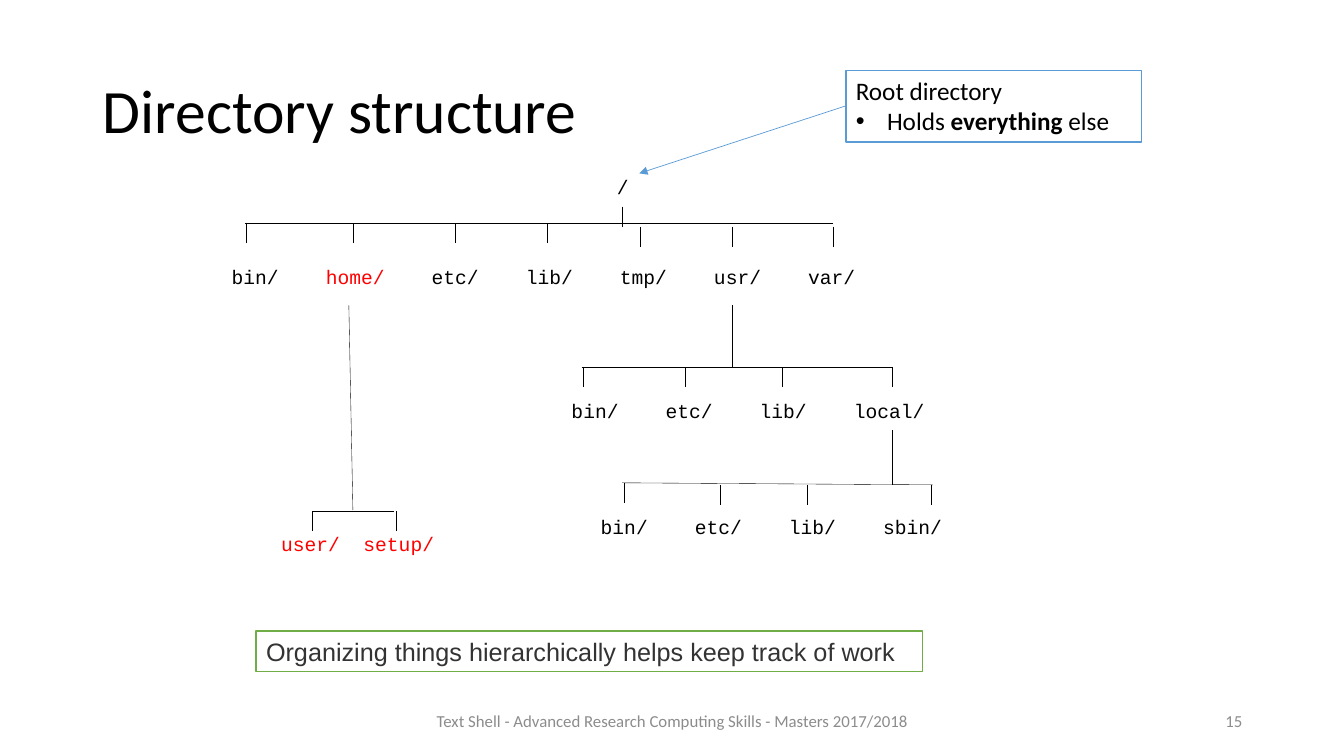
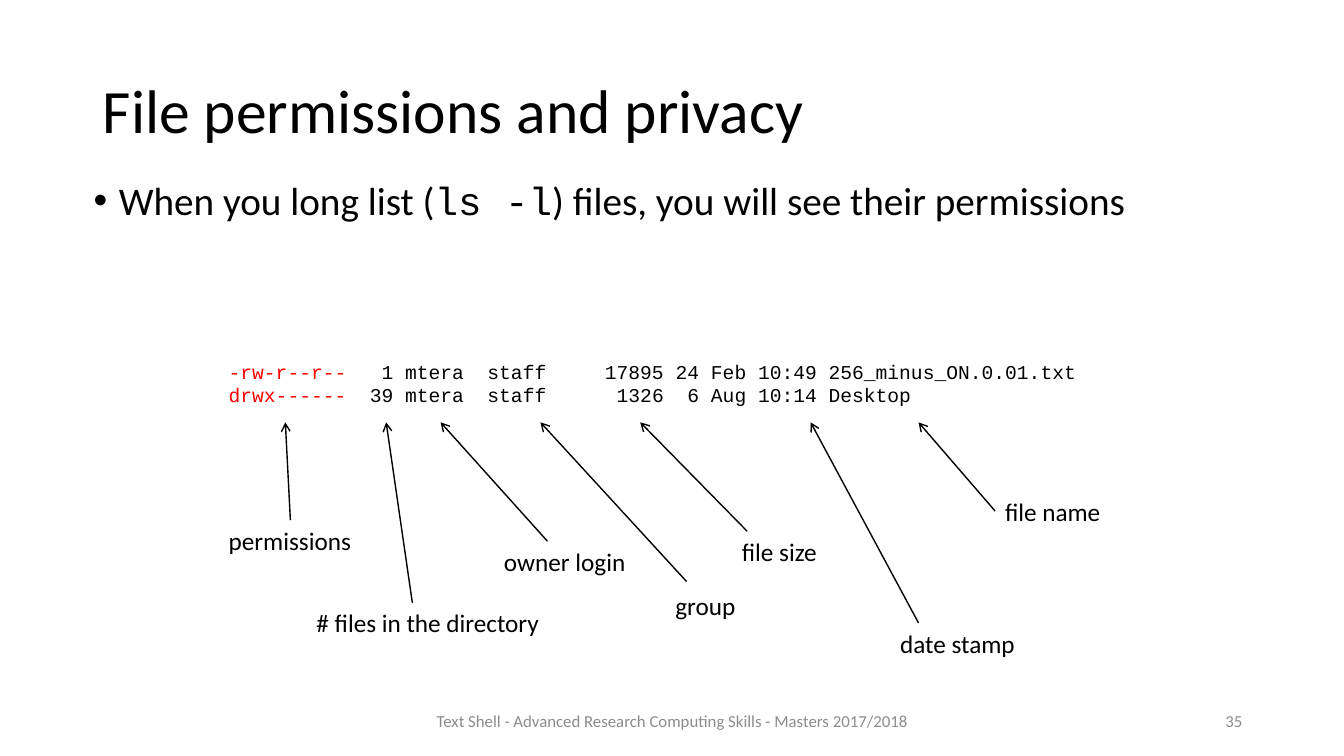
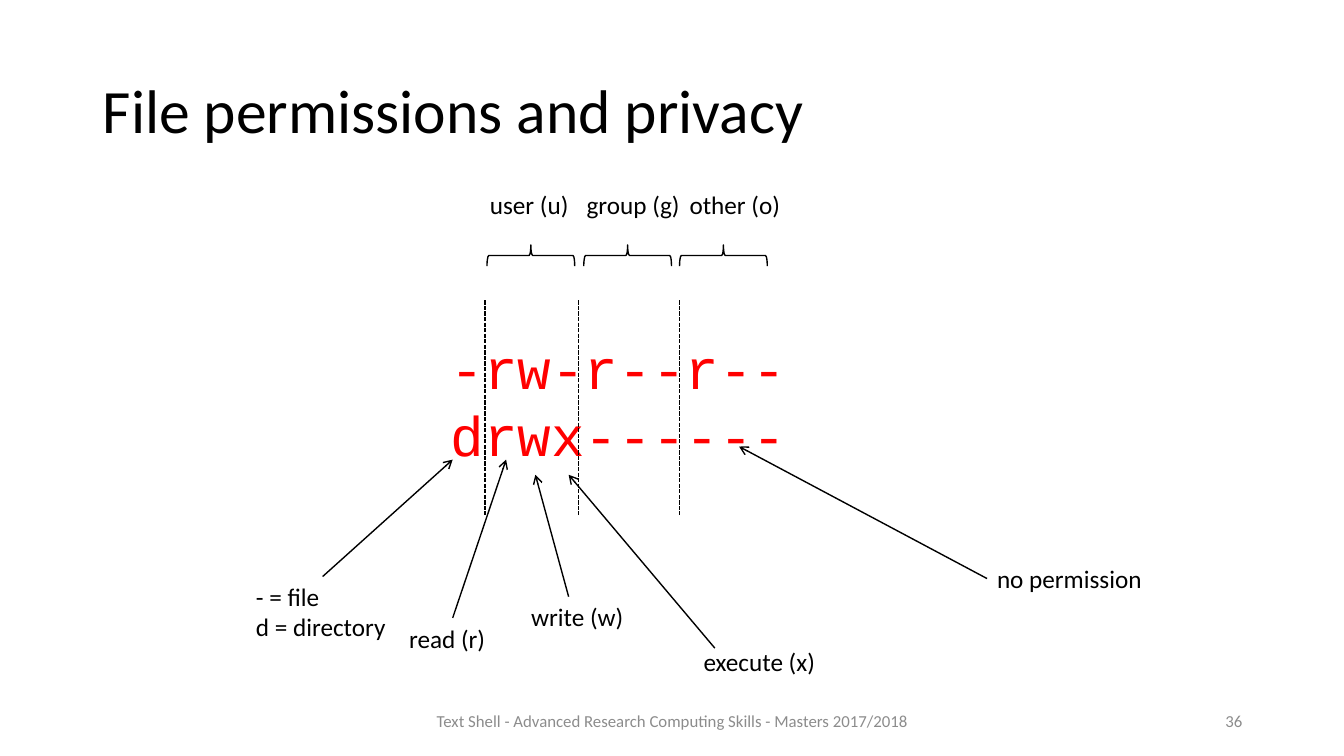
from lxml.etree import SubElement
from pptx import Presentation
from pptx.dml.color import RGBColor
from pptx.enum.dml import MSO_LINE
from pptx.enum.shapes import MSO_CONNECTOR, MSO_SHAPE
from pptx.enum.text import MSO_ANCHOR, PP_ALIGN
from pptx.oxml.ns import qn
from pptx.util import Inches, Pt

BLACK, RED, WHITE = "000000", "FF0000", "FFFFFF"
GREY, DARK, BLUE, GREEN = "8C8C8C", "333333", "5B9BD5", "70AD47"
SANS, MONO = "Calibri", "Courier New"
MONO_SIZE = 14
CHAR = MONO_SIZE * 0.6 / 72
FOOTER = "Text Shell - Advanced Research Computing Skills - Masters 2017/2018"


def rgb(value):
    return RGBColor.from_string(value)


def add_run(p, text, size=18, font=SANS, color=BLACK, bold=False):
    r = p.add_run()
    r.text = text
    r.font.size = Pt(size)
    r.font.name = font
    r.font.color.rgb = rgb(color)
    r.font.bold = bold


def add_paragraph(tf, first=False):
    p = tf.paragraphs[0] if first else tf.add_paragraph()
    p.alignment = PP_ALIGN.LEFT
    return p


def add_bullet(p, indent):
    pPr = p._p.get_or_add_pPr()
    pPr.set("marL", str(Inches(indent)))
    pPr.set("indent", str(-Inches(indent)))
    SubElement(pPr, qn("a:buFont"), typeface="Arial")
    SubElement(pPr, qn("a:buChar"), char="\u2022")


def add_tabs(p, stops):
    tabs = SubElement(p._p.get_or_add_pPr(), qn("a:tabLst"))
    for column, align in stops:
        SubElement(tabs, qn("a:tab"), pos=str(Inches(column * CHAR)), algn=align)


def add_box(s, left, top, width, height, wrap=True):
    sp = s.shapes.add_textbox(Inches(left), Inches(top), Inches(width), Inches(height))
    sp.text_frame.word_wrap = wrap
    return sp.text_frame


def add_label(s, left, top, width, *lines, height=0.4, **style):
    tf = add_box(s, left, top, width, height, wrap=False)
    for i, line in enumerate(lines):
        add_run(add_paragraph(tf, i == 0), line, **style)


def add_footer(s, left, width, text, align):
    tf = add_box(s, left, 6.95, width, 0.4)
    tf.vertical_anchor = MSO_ANCHOR.MIDDLE
    p = tf.paragraphs[0]
    p.alignment = align
    add_run(p, text, size=12, color=GREY)


def add_slide(prs, title, number):
    s = prs.slides.add_slide(prs.slide_layouts[5])
    sp = s.shapes.title
    sp.left, sp.top, sp.width, sp.height = map(Inches, (0.92, 0.4, 11.5, 1.45))
    tf = sp.text_frame
    tf.vertical_anchor = MSO_ANCHOR.MIDDLE
    p = add_paragraph(tf, True)
    p.line_spacing = 0.9
    add_run(p, title, size=44)
    add_footer(s, 3.92, 5.5, FOOTER, PP_ALIGN.CENTER)
    add_footer(s, 9.42, 3, str(number), PP_ALIGN.RIGHT)
    return s


def add_line(s, start, end, color=BLACK, width=1, head=None, dash=None):
    c = s.shapes.add_connector(MSO_CONNECTOR.STRAIGHT, *map(Inches, start + end))
    c.line.color.rgb = rgb(color)
    c.line.width = Pt(width)
    if dash:
        c.line.dash_style = dash
    if head:
        SubElement(c.line._get_or_add_ln(), qn("a:tailEnd"), type=head)
    SubElement(c._element.spPr, qn("a:effectLst"))


def add_frame(s, left, top, width, height, line):
    sp = s.shapes.add_shape(MSO_SHAPE.RECTANGLE, *map(Inches, (left, top, width, height)))
    sp.shadow.inherit = False
    sp.fill.solid()
    sp.fill.fore_color.rgb = rgb(WHITE)
    sp.line.color.rgb = rgb(line)
    sp.line.width = Pt(1)
    tf = sp.text_frame
    tf.word_wrap = True
    tf.vertical_anchor = MSO_ANCHOR.TOP
    return tf


def add_brace(s, left):
    sp = s.shapes.add_shape(MSO_SHAPE.LEFT_BRACE, *map(Inches, (left, 2.1, 0.21, 0.87)))
    sp.rotation = 90
    sp.shadow.inherit = False
    sp.fill.background()
    sp.line.color.rgb = rgb(BLACK)
    sp.line.width = Pt(1)


def add_names(s, left, top, names, gap=4, red=()):
    stops, column = [], 0
    for name in names[:-1]:
        column += len(name) + gap
        stops.append((column, "l"))
    width = (column + len(names[-1])) * CHAR + 0.3
    p = add_paragraph(add_box(s, left, top, width, 0.34), True)
    add_tabs(p, stops)
    for i, name in enumerate(names):
        text = "\t" + name if i else name
        add_run(p, text, MONO_SIZE, MONO, RED if name in red else BLACK)


def add_drops(s, y, *xs, length=0.2):
    for x in xs:
        add_line(s, (x, y), (x, y + length), width=0.25)


def add_callouts(s, callouts):
    for left, top, width, text, start, end in callouts:
        add_label(s, left, top, width, *text.split("\n"))
        add_line(s, start, end, head="arrow")


def build_directories(prs):
    s = add_slide(prs, "Directory structure", 15)
    add_names(s, 6.02, 1.69, ["/"])
    add_names(s, 2.2, 2.58, ["bin/", "home/", "etc/", "lib/", "tmp/", "usr/", "var/"],
              red=["home/"])
    add_names(s, 5.57, 3.91, ["bin/", "etc/", "lib/", "local/"])
    add_names(s, 5.86, 5.06, ["bin/", "etc/", "lib/", "sbin/"])
    add_names(s, 2.69, 5.23, ["user/", "setup/"], gap=2, red=["user/", "setup/"])

    branches = [
        ((2.43, 2.21), (8.26, 2.21)),
        ((5.77, 3.64), (8.85, 3.64)),
        ((6.17, 4.79), (9.25, 4.81)),
        ((3.1, 5.07), (3.91, 5.07)),
        ((3.46, 3.03), (3.5, 5.06)),
    ]
    for start, end in branches:
        add_line(s, start, end, width=0.25)
    add_drops(s, 2.05, 6.17)
    add_drops(s, 2.21, 2.44, 3.5, 4.51, 5.43)
    add_drops(s, 2.25, 6.35, 7.26, 8.26)
    add_drops(s, 3.03, 7.26, length=0.61)
    add_drops(s, 3.64, 5.78, 6.8, 7.76, 8.85)
    add_drops(s, 4.27, 8.85, length=0.54)
    add_drops(s, 4.79, 6.19)
    add_drops(s, 4.81, 7.14, 8.01, 9.24)
    add_drops(s, 5.07, 3.1, 3.93)

    add_line(s, (8.39, 1.05), (6.34, 1.72), BLUE, 0.5, head="triangle")
    tf = add_frame(s, 8.39, 0.7, 2.93, 0.71, BLUE)
    add_run(add_paragraph(tf, True), "Root directory")
    p = add_paragraph(tf)
    add_bullet(p, 0.31)
    add_run(p, "Holds ")
    add_run(p, "everything", bold=True)
    add_run(p, " else")
    tf = add_frame(s, 2.54, 6.26, 6.61, 0.4, GREEN)
    add_run(add_paragraph(tf, True),
            "Organizing things hierarchically helps keep track of work",
            font="Arial", color=DARK)


def build_listing(prs):
    s = add_slide(prs, "File permissions and privacy", 35)
    p = add_paragraph(add_box(s, 0.83, 1.75, 11.76, 1.36), True)
    p.line_spacing = 0.9
    p.space_before = Pt(10)
    add_bullet(p, 0.25)
    add_run(p, "When you long list (", size=28)
    add_run(p, "ls -l", size=28, font=MONO)
    add_run(p, ") files, you will see their permissions", size=28)

    files = [
        ("-rw-r--r--", "1", "mtera", "staff", "17895", "24", "Feb 10:49",
         "256_minus_ON.0.01.txt"),
        ("drwx------", "39", "mtera", "staff", "1326", "6", "Aug 10:14", "Desktop"),
    ]
    stops = [(14, "r"), (15, "l"), (22, "l"), (37, "r"), (40, "r"), (41, "l"), (51, "l")]
    tf = add_box(s, 2.17, 3.52, 8.8, 0.81)
    for i, (mode, *fields) in enumerate(files):
        p = add_paragraph(tf, i == 0)
        add_tabs(p, stops)
        add_run(p, mode, MONO_SIZE, MONO, RED)
        add_run(p, "\t" + "\t".join(fields), MONO_SIZE, MONO)

    add_callouts(s, [
        (2.17, 5.16, 1.43, "permissions", (2.88, 5.16), (2.83, 4.19)),
        (3.04, 5.98, 2.41, "# files in the directory", (4.09, 5.98), (3.83, 4.19)),
        (4.9, 5.37, 1.42, "owner login", (5.43, 5.37), (4.37, 4.19)),
        (6.6, 5.81, 0.81, "group", (6.81, 5.77), (5.36, 4.19)),
        (7.26, 5.27, 0.96, "file size", (7.41, 5.27), (6.35, 4.19)),
        (8.83, 6.18, 1.36, "date stamp", (9.11, 6.18), (8.04, 4.19)),
        (9.87, 4.87, 1.16, "file name", (9.87, 5.07), (9.11, 4.19)),
    ])


def build_permissions(prs):
    s = add_slide(prs, "File permissions and privacy", 36)
    add_label(s, 4.37, 3.26, 3.57, "-rw-r--r--", "drwx------",
              height=1.45, size=40, font=MONO, color=RED)
    add_callouts(s, [
        (2.44, 5.72, 1.51, "- = file\nd = directory", (3.2, 5.72), (4.49, 4.56)),
        (3.96, 6.13, 0.96, "read (r)", (4.49, 6.13), (5.02, 4.56)),
        (5.17, 5.92, 1.13, "write (w)", (5.64, 5.92), (5.31, 4.71)),
        (6.88, 6.36, 1.33, "execute (x)", (7.09, 6.43), (5.64, 4.71)),
        (9.79, 5.54, 1.65, "no permission", (9.79, 5.74), (7.33, 4.43)),
    ])
    classes = [
        ("user (u)", 4.76, 0.99, 5.16, 4.81),
        ("group (g)", 5.72, 1.14, 6.12, 5.74),
        ("other (o)", 6.74, 1.11, 7.07, 6.74),
    ]
    for name, left, width, brace, divider in classes:
        add_label(s, left, 1.83, width, name)
        add_brace(s, brace)
        add_line(s, (divider, 2.98), (divider, 5.11), dash=MSO_LINE.SQUARE_DOT)


def main():
    prs = Presentation()
    prs.slide_width, prs.slide_height = Inches(13.33), Inches(7.5)
    build_directories(prs)
    build_listing(prs)
    build_permissions(prs)
    prs.save("out.pptx")


main()
